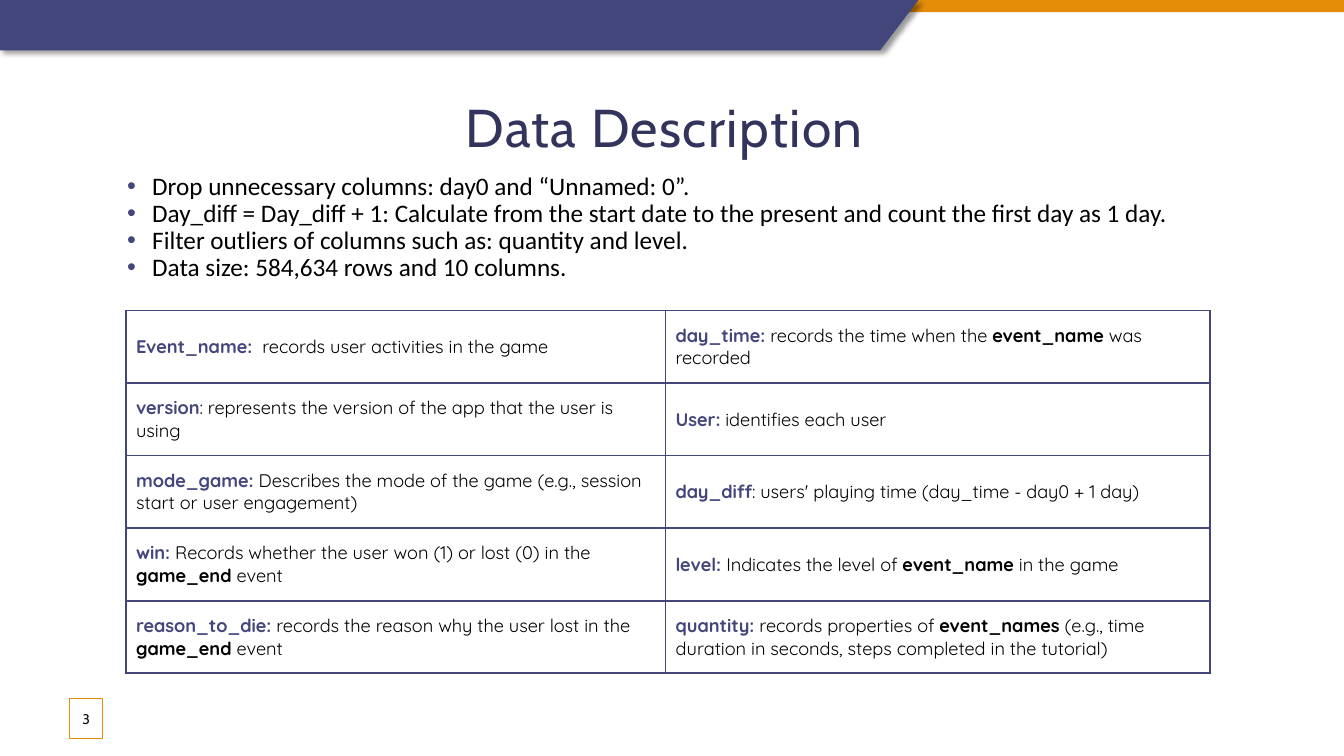
from dataclasses import dataclass

from lxml import etree
from pptx import Presentation
from pptx.dml.color import RGBColor
from pptx.enum import shapes, text
from pptx.oxml import ns
from pptx.util import Pt

TITLE = "Data Description"
PAGE_NUMBER = "3"
BULLETS = [
    "Drop unnecessary columns: day0 and “Unnamed: 0”.",
    "Day_diff = Day_diff + 1: Calculate from the start date to the present and count the first day as 1 day.",
    "Filter outliers of columns such as: quantity and level.",
    "Data size: 584,634 rows and 10 columns.",
]
# Each cell: the term, then plain and bold pieces in turn.
COLUMN_GUIDE = [
    (("Event_name:  ", "records user activities in the game"),
     ("day_time: ", "records the time when the ", "event_name ", "was recorded")),
    (("version", ": represents the version of the app that the user is using"),
     ("User:", " identifies each user")),
    (("mode_game: ", "Describes the mode of the game (e.g., session start or user engagement)"),
     ("day_diff", ": users' playing time (day_time - day0 + 1 day)")),
    (("win: ", "Records whether the user won (1) or lost (0) in the ", "game_end ", "event"),
     ("level: ", "Indicates the level of ", "event_name ", "in the game")),
    (("reason_to_die: ", "records the reason why the user lost in the ", "game_end ", "event"),
     ("quantity: ", "records properties of ", "event_names ",
      "(e.g., time duration in seconds, steps completed in the tutorial)")),
]


@dataclass(frozen=True)
class Theme:
    indigo: str = "43467B"
    navy: str = "32345C"
    orange: str = "E58C09"
    white: str = "FFFFFF"
    black: str = "000000"
    number: str = "0D0D0D"
    heading_font: str = "Cabin"
    body_font: str = "Calibri"
    table_font: str = "Quicksand"
    title_size: int = 38
    body_size: int = 18
    table_size: int = 13
    number_size: int = 10


THEME = Theme()
EMU_PER_PX = 9144  # 100 px to the inch
SLIDE_WIDTH, SLIDE_HEIGHT = 1333, 750
COLUMN_WIDTHS = (535, 540)
ROW_HEIGHT = 72


def px(*lengths):
    """Turn px into EMU: one value, or a list for several."""
    values = [length * EMU_PER_PX for length in lengths]
    return values if len(values) > 1 else values[0]


def add_xml(parent, tag, **attributes):
    return etree.SubElement(parent, ns.qn(tag), attributes)


def set_font(font, name, size, color):
    font.name, font.size = name, Pt(size)
    font.color.rgb = RGBColor.from_string(color)


def set_fill(fill, color, opacity=100):
    fill.solid()
    fill.fore_color.rgb = RGBColor.from_string(color)
    if opacity < 100:
        color_xml = fill._xPr.find(ns.qn("a:solidFill"))[0]
        add_xml(color_xml, "a:alpha", val=str(opacity * 1000))


def place(shape, left, top, width, height):
    shape.left, shape.top, shape.width, shape.height = px(left, top, width, height)


def add_rectangle(slide, box, color, opacity=100):
    rectangle = slide.shapes.add_shape(shapes.MSO_SHAPE.RECTANGLE, *px(*box))
    rectangle.shadow.inherit = False
    set_fill(rectangle.fill, color, opacity)
    rectangle.line.fill.background()
    return rectangle


def add_header(slide):
    add_rectangle(slide, (0, 0, SLIDE_WIDTH, 12), THEME.orange)
    builder = slide.shapes.build_freeform(0, 0, scale=EMU_PER_PX)
    builder.add_line_segments([(911, 0), (873, 50), (0, 50)], close=True)
    banner = builder.convert_to_shape()
    set_fill(banner.fill, THEME.indigo)
    banner.line.fill.background()
    effects = add_xml(banner._element.spPr, "a:effectLst")
    shadow = add_xml(effects, "a:outerShdw", blurRad=str(Pt(4)), dist=str(Pt(3)),
                     dir="2700000", algn="tl", rotWithShape="0")
    shadow_color = add_xml(shadow, "a:srgbClr", val=THEME.black)
    add_xml(shadow_color, "a:alpha", val="40000")


def add_page_number(slide):
    badge = add_rectangle(slide, (69, 693, 33, 40), THEME.white, 82)
    badge.line.color.rgb = RGBColor.from_string(THEME.orange)
    badge.line.width = Pt(0.75)
    frame = badge.text_frame
    frame.margin_left = frame.margin_right = 0
    frame.vertical_anchor = text.MSO_ANCHOR.MIDDLE
    paragraph = frame.paragraphs[0]
    paragraph.text = PAGE_NUMBER
    paragraph.alignment = text.PP_ALIGN.CENTER
    set_font(paragraph.font, THEME.heading_font, THEME.number_size, THEME.number)
    set_font(paragraph.runs[0].font, THEME.heading_font, THEME.number_size, THEME.number)


def fill_title(title):
    place(title, 68, 89, 1182, 61)
    frame = title.text_frame
    frame.auto_size = text.MSO_AUTO_SIZE.NONE
    frame.vertical_anchor = text.MSO_ANCHOR.TOP
    paragraph = frame.paragraphs[0]
    paragraph.text = TITLE
    paragraph.alignment = text.PP_ALIGN.CENTER
    set_font(paragraph.font, THEME.heading_font, THEME.title_size, THEME.navy)
    paragraph.runs[0]._r.get_or_add_rPr().set("spc", "100")


def fill_bullets(body):
    place(body, 116, 167, 1125, 150)
    frame = body.text_frame
    frame.auto_size = text.MSO_AUTO_SIZE.NONE
    frame.text = "\n".join(BULLETS)
    for paragraph in frame.paragraphs:
        paragraph.alignment = text.PP_ALIGN.JUSTIFY
        paragraph.line_spacing = 0.9
        paragraph.space_before = Pt(0)
        properties = paragraph._p.get_or_add_pPr()
        properties.set("marL", str(px(25)))
        properties.set("indent", str(px(-25)))
        add_xml(add_xml(properties, "a:buClr"), "a:srgbClr", val=THEME.indigo)
        add_xml(properties, "a:buFont", typeface="Arial")
        add_xml(properties, "a:buChar", char="•")
        set_font(paragraph.font, THEME.body_font, THEME.body_size, THEME.black)


def fill_cell(cell, pieces):
    cell.vertical_anchor = text.MSO_ANCHOR.MIDDLE
    cell.margin_left = cell.margin_right = px(10)
    cell.margin_top = cell.margin_bottom = 0
    properties = cell._tc.get_or_add_tcPr()
    for side in "LRTB":
        border = add_xml(properties, f"a:ln{side}", w=str(Pt(1.5)))
        add_xml(add_xml(border, "a:solidFill"), "a:srgbClr", val=THEME.indigo)
    set_fill(cell.fill, THEME.white, 69)
    paragraph = cell.text_frame.paragraphs[0]
    for index, piece in enumerate(pieces):
        run = paragraph.add_run()
        run.text = piece
        run.font.bold = index % 2 == 0
        color = THEME.black if index else THEME.indigo
        set_font(run.font, THEME.table_font, THEME.table_size, color)


def add_column_guide(slide):
    row_count = len(COLUMN_GUIDE)
    box = px(125, 308, sum(COLUMN_WIDTHS), row_count * ROW_HEIGHT)
    table = slide.shapes.add_table(row_count, len(COLUMN_WIDTHS), *box).table
    table.first_row = table.horz_banding = False
    for column, width in zip(table.columns, COLUMN_WIDTHS):
        column.width = px(width)
    for row, row_cells in zip(table.rows, COLUMN_GUIDE):
        row.height = px(ROW_HEIGHT)
        for cell, pieces in zip(row.cells, row_cells):
            fill_cell(cell, pieces)


def main():
    presentation = Presentation()
    presentation.slide_width, presentation.slide_height = px(SLIDE_WIDTH, SLIDE_HEIGHT)
    slide = presentation.slides.add_slide(presentation.slide_layouts[1])
    add_header(slide)
    add_page_number(slide)
    fill_title(slide.shapes.title)
    fill_bullets(slide.placeholders[1])
    add_column_guide(slide)
    presentation.save("out.pptx")


if __name__ == "__main__":
    main()
